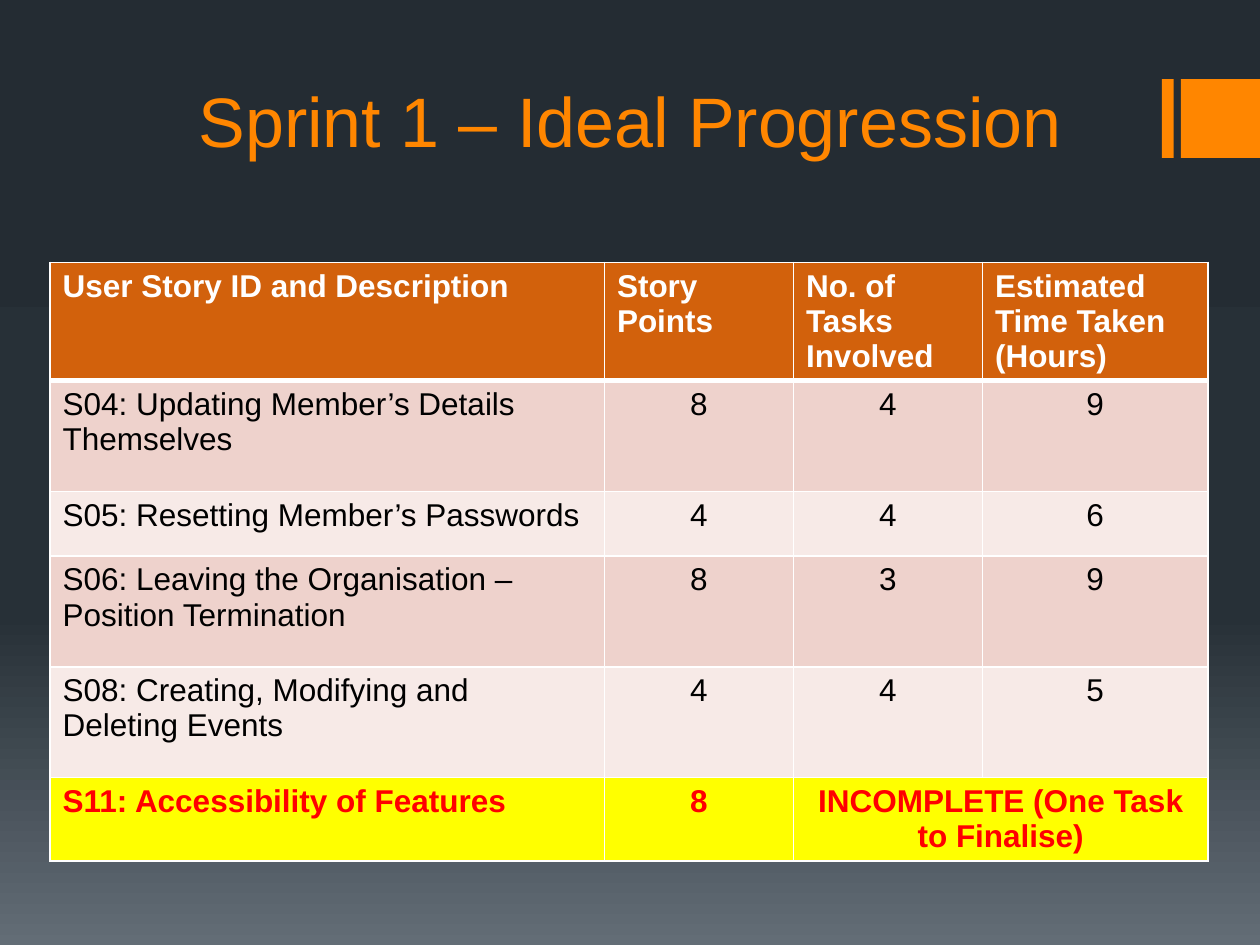
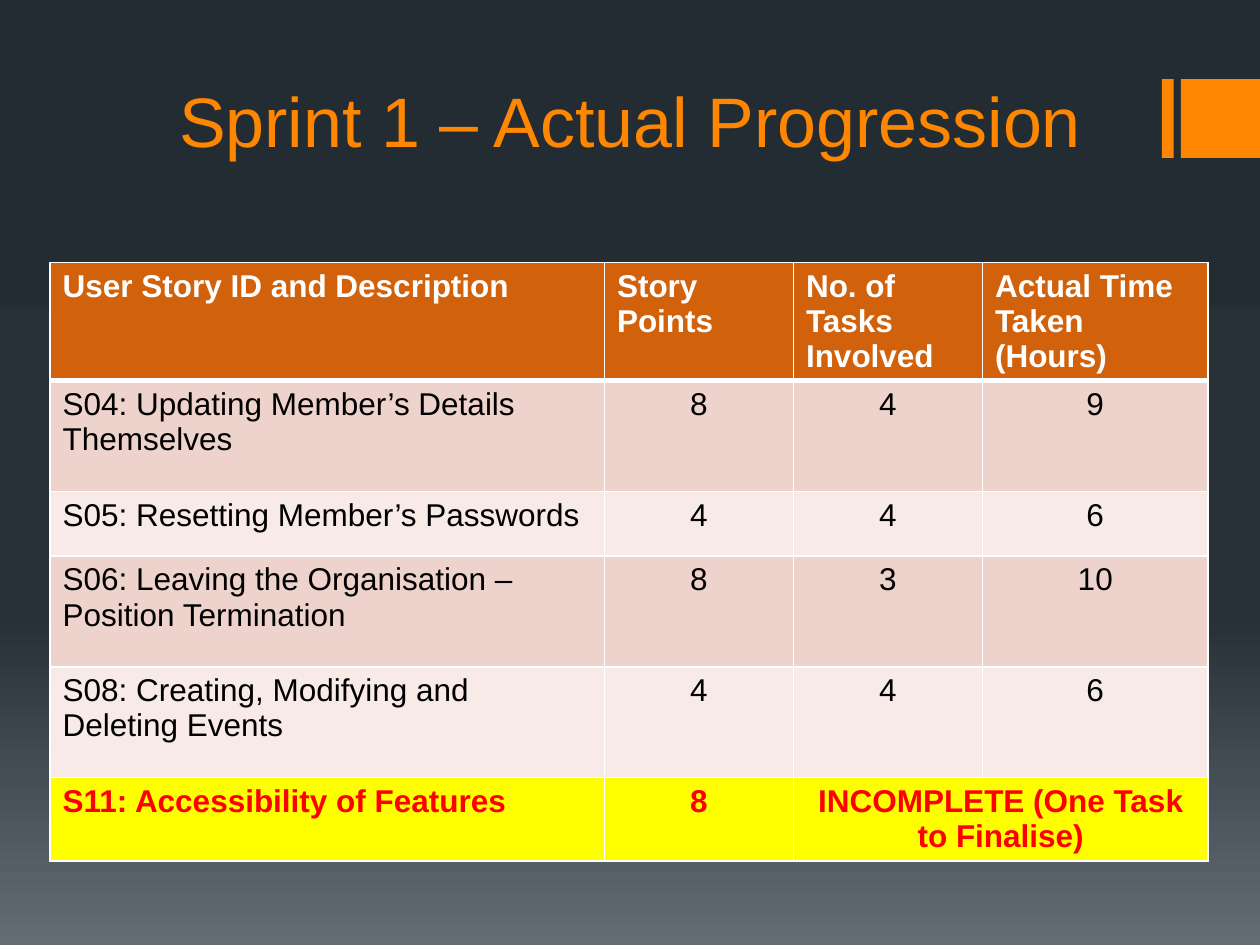
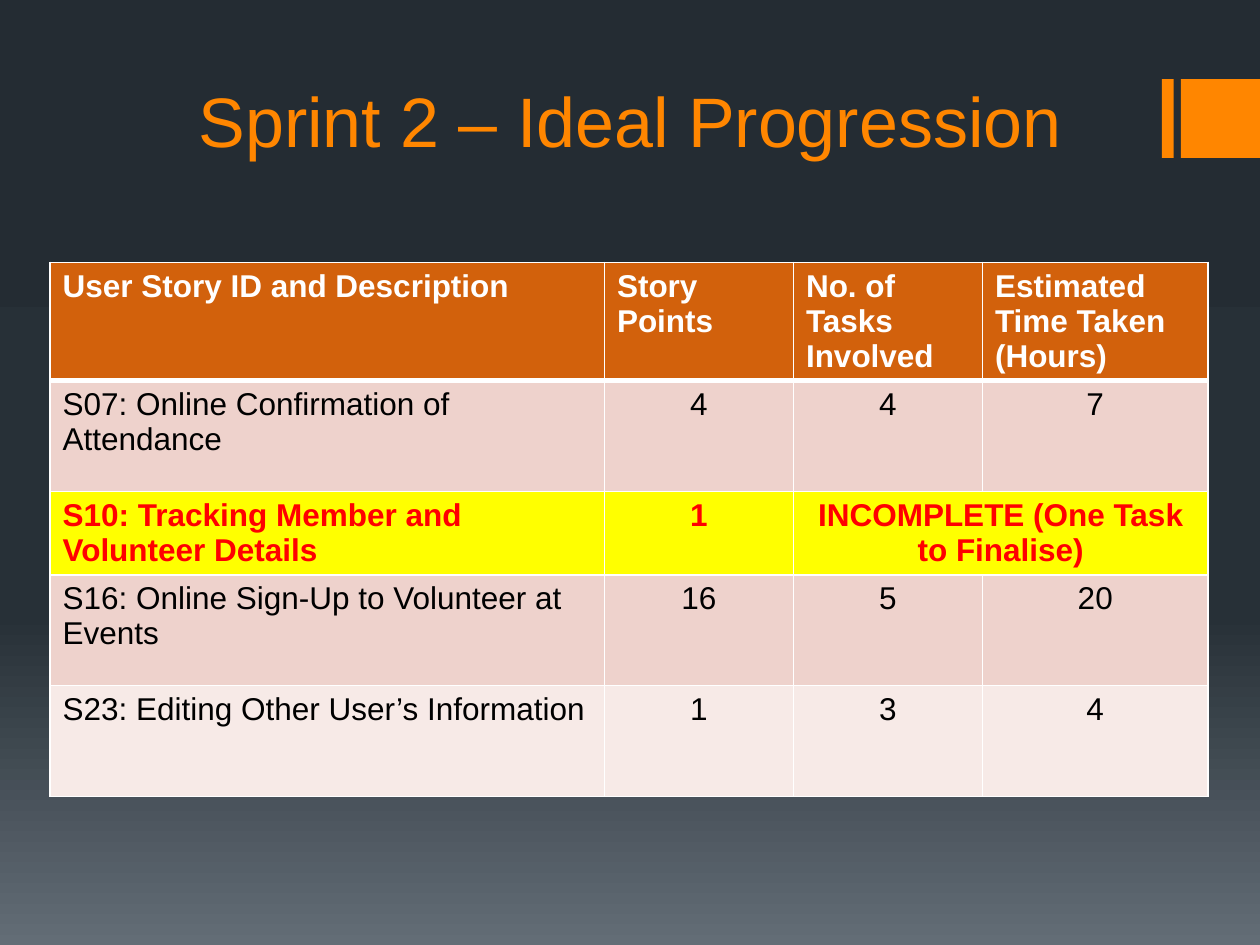
"""Build three sprint progression slides, each with a table of user stories."""
from copy import deepcopy
from dataclasses import dataclass

from lxml import etree
from pptx import Presentation
from pptx.dml.color import RGBColor
from pptx.enum.shapes import MSO_SHAPE
from pptx.enum.text import MSO_ANCHOR, MSO_AUTO_SIZE, PP_ALIGN
from pptx.oxml.ns import qn
from pptx.util import Pt

RECTANGLE = MSO_SHAPE.RECTANGLE
BOTTOM = MSO_ANCHOR.BOTTOM
NO_AUTOFIT = MSO_AUTO_SIZE.NONE
LEFT, CENTER = PP_ALIGN.LEFT, PP_ALIGN.CENTER


@dataclass(frozen=True)
class Theme:
    font: str = "Arial"
    title_size: int = 40
    table_size: int = 18
    accent: str = "FF8600"
    header: str = "D2610C"
    header_text: str = "FFFFFF"
    bands: tuple = ("EED2CC", "F7EAE7")
    body_text: str = "000000"
    alert: str = "FFFF00"
    alert_text: str = "FF0000"
    border: str = "FFFFFF"
    backdrop: tuple = ((0, "242C33"), (0.65, "273037"), (1, "636D76"))


THEME = Theme()


def write(frame, text, size=THEME.table_size, color=THEME.body_text, bold=False, align=LEFT):
    paragraph = frame.paragraphs[0]
    paragraph.alignment = align
    run = paragraph.add_run()
    run.text = text
    run.font.name = THEME.font
    run.font.size = Pt(size)
    run.font.bold = bold
    run.font.color.rgb = RGBColor.from_string(color)


def style_cell(cell, fill, top, bottom):
    properties = cell._tc.get_or_add_tcPr()
    for side, width in (("L", 1), ("R", 1), ("T", top), ("B", bottom)):
        line = etree.SubElement(properties, qn(f"a:ln{side}"), w=str(Pt(width)))
        solid = etree.SubElement(line, qn("a:solidFill"))
        etree.SubElement(solid, qn("a:srgbClr"), val=THEME.border)
    cell.fill.solid()
    cell.fill.fore_color.rgb = RGBColor.from_string(fill)


INCOMPLETE = "INCOMPLETE (One Task to Finalise)"
TALL_ROW, SHORT_ROW = 63.36, 36.72
COLUMN_WIDTHS = (316.8, 108, 108, 128.9)
ROW_HEIGHTS = (TALL_ROW, TALL_ROW, SHORT_ROW, TALL_ROW, TALL_ROW, SHORT_ROW)
TABLE_LEFT, TABLE_TOP = 28.6, 149.9

UPDATING = "S04: Updating Member’s Details Themselves"
RESETTING = "S05: Resetting Member’s Passwords"
LEAVING = "S06: Leaving the Organisation – Position Termination"
EVENTS = "S08: Creating, Modifying and Deleting Events"
ACCESSIBILITY = ("S11: Accessibility of Features", 8, INCOMPLETE)

SPRINTS = (
    ("Sprint 1 – Ideal Progression", "Estimated", (
        (UPDATING, 8, 4, 9),
        (RESETTING, 4, 4, 6),
        (LEAVING, 8, 3, 9),
        (EVENTS, 4, 4, 5),
        ACCESSIBILITY,
    )),
    ("Sprint 1 – Actual Progression", "Actual", (
        (UPDATING, 8, 4, 9),
        (RESETTING, 4, 4, 6),
        (LEAVING, 8, 3, 10),
        (EVENTS, 4, 4, 6),
        ACCESSIBILITY,
    )),
    ("Sprint 2 – Ideal Progression", "Estimated", (
        ("S07: Online Confirmation of Attendance", 4, 4, 7),
        ("S10: Tracking Member and Volunteer Details", 1, INCOMPLETE),
        ("S16: Online Sign-Up to Volunteer at Events", 16, 5, 20),
        ("S23: Editing Other User’s Information", 1, 3, 4),
    )),
)

deck = Presentation()
deck.slide_width, deck.slide_height = Pt(720), Pt(540)
master = deck.slide_master
layout = deck.slide_layouts.get_by_name("Title Only")

backdrop = master.background.fill
backdrop.gradient()
backdrop.gradient_angle = 270
stop_list = master.element.xpath(".//p:bg//a:gsLst")[0]
stop_list.append(deepcopy(stop_list[-1]))
for stop, (position, color) in zip(backdrop.gradient_stops, THEME.backdrop):
    stop.position = position
    stop.color.rgb = RGBColor.from_string(color)

heading = layout.placeholders[0]
heading.left, heading.top, heading.width, heading.height = Pt(72), Pt(37.5), Pt(576), Pt(58.5)
heading.text_frame.vertical_anchor = BOTTOM
heading.text_frame.auto_size = NO_AUTOFIT

slides = [deck.slides.add_slide(layout) for sprint in SPRINTS]

for number, (left, width) in enumerate(((664, 6.75), (674.75, 45.25))):
    band = slides[0].shapes.add_shape(RECTANGLE, Pt(left), Pt(45.2), Pt(width), Pt(45))
    band.shadow.inherit = False
    band.fill.solid()
    band.fill.fore_color.rgb = RGBColor.from_string(THEME.accent)
    band.line.fill.background()
    band.element.xpath(".//p:cNvPr")[0].set("id", str(101 + number))
    master.shapes.element.append(band.element)

for slide, (title, timing, stories) in zip(slides, SPRINTS):
    write(slide.shapes.title.text_frame, title, size=THEME.title_size,
          color=THEME.accent, align=CENTER)

    headings = ("User Story ID and Description", "Story Points",
                "No. of Tasks Involved", f"{timing} Time Taken (Hours)")
    rows = (headings, *stories)
    heights = ROW_HEIGHTS[:len(rows)]
    progress = slide.shapes.add_table(
        len(rows), len(COLUMN_WIDTHS), Pt(TABLE_LEFT), Pt(TABLE_TOP),
        Pt(sum(COLUMN_WIDTHS)), Pt(sum(heights))).table
    progress.horz_banding = False
    for column, width in zip(progress.columns, COLUMN_WIDTHS):
        column.width = Pt(width)

    for index, (values, height) in enumerate(zip(rows, heights)):
        progress.rows[index].height = Pt(height)
        is_header = index == 0
        is_incomplete = INCOMPLETE in values
        if is_header:
            fill, color = THEME.header, THEME.header_text
        elif is_incomplete:
            fill, color = THEME.alert, THEME.alert_text
            progress.cell(index, 2).merge(progress.cell(index, 3))
        else:
            fill, color = THEME.bands[(index - 1) % 2], THEME.body_text

        for position in range(len(COLUMN_WIDTHS)):
            style_cell(progress.cell(index, position), fill,
                       top=3 if index == 1 else 1, bottom=3 if is_header else 1)
        for position, value in enumerate(values):
            write(progress.cell(index, position).text_frame, str(value), color=color,
                  bold=is_header or is_incomplete,
                  align=LEFT if is_header or position == 0 else CENTER)

deck.save("out.pptx")
